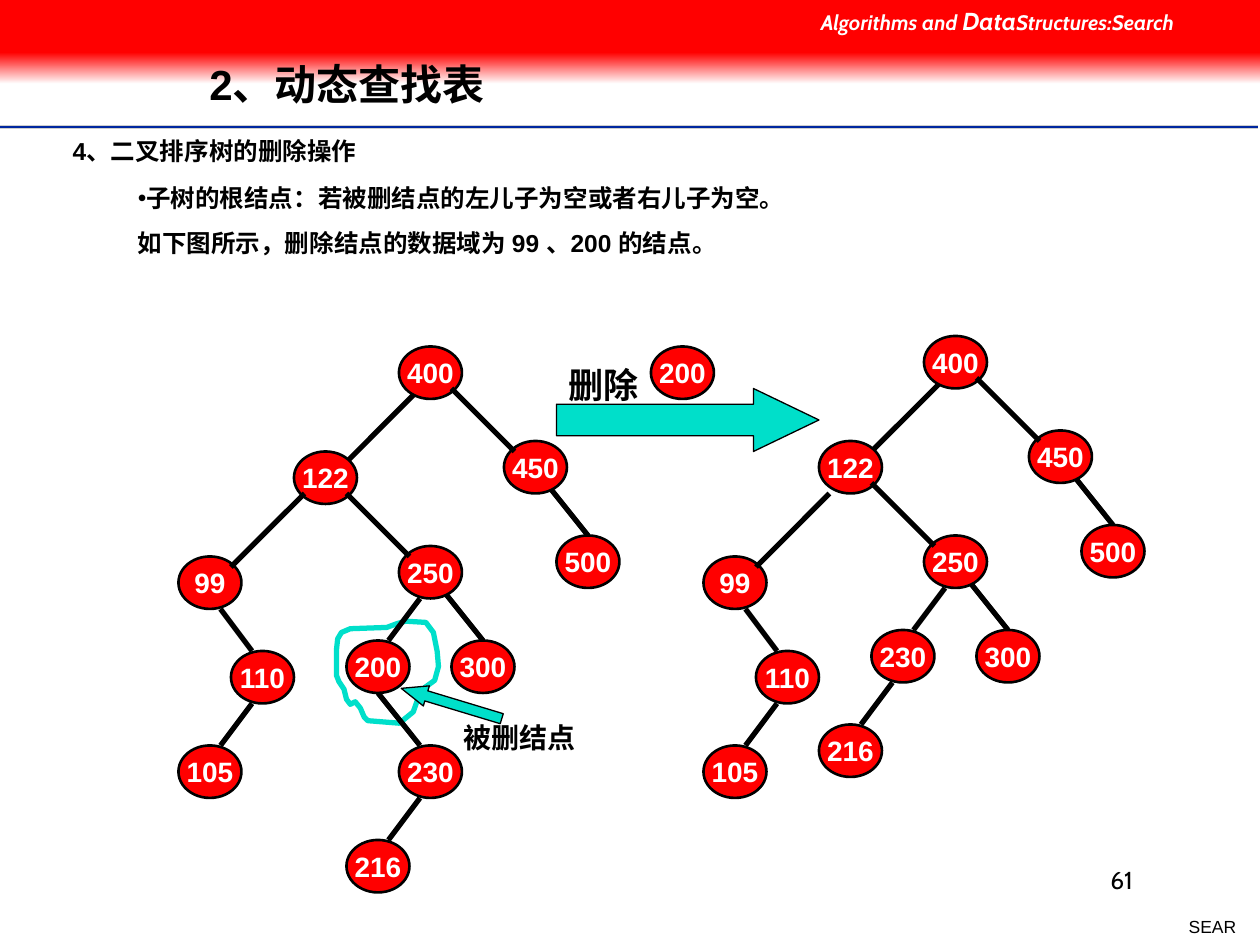
"""Build a slide on deleting nodes from a binary search tree."""
from lxml import etree
from pptx import Presentation
from pptx.dml.color import RGBColor
from pptx.enum.shapes import MSO_CONNECTOR, MSO_SHAPE
from pptx.enum.text import MSO_ANCHOR, MSO_AUTO_SIZE, PP_ALIGN
from pptx.oxml.ns import qn
from pptx.util import Pt

STRAIGHT = MSO_CONNECTOR.STRAIGHT
RECTANGLE, OVAL, ARROW = MSO_SHAPE.RECTANGLE, MSO_SHAPE.OVAL, MSO_SHAPE.RIGHT_ARROW
MIDDLE, TOP = MSO_ANCHOR.MIDDLE, MSO_ANCHOR.TOP
LEFT, CENTER, RIGHT = PP_ALIGN.LEFT, PP_ALIGN.CENTER, PP_ALIGN.RIGHT
NO_AUTOFIT = MSO_AUTO_SIZE.NONE

COLORS = {"red": "FF0000", "white": "FFFFFF", "black": "000000",
          "teal": "00DFCA", "blue": "00279F", "grey": "CECECE"}
NODE_WIDTH, NODE_HEIGHT = 36, 30

UPPER = {
    "back": [(252, 336, 276, 366), (312, 276, 336, 306), (240, 222, 198, 264)],
    "nodes": {"122": (168, 258), "250": (228, 312), "300": (258, 366),
              "400": (228, 198), "450": (288, 252), "500": (318, 306)},
    "front": [(198, 282, 234, 318), (240, 342, 222, 366), (258, 222, 294, 258)],
}
LOWER = {
    "back": [],
    "nodes": {"99": (102, 318), "110": (132, 372), "105": (102, 426)},
    "front": [(174, 282, 132, 324), (126, 348, 144, 372), (144, 402, 126, 426)],
}
TAIL = {
    "back": [],
    "nodes": {"230": (228, 426), "216": (198, 480)},
    "front": [(240, 456, 222, 480)],
}
DELETED = {"back": [], "nodes": {"200": (198, 366)}, "front": [(216, 396, 240, 426)]}
BRANCHES = [(UPPER, 0, 0), (LOWER, 0, 0), (DELETED, 0, 0), (TAIL, 0, 0),
            (UPPER, 300, -6), (TAIL, 270, -66), (LOWER, 300, 0)]

LOOP = [(278, 559), (275, 555), (273, 547), (269, 541), (267, 536), (267, 516),
        (268, 507), (271, 502), (278, 499), (307, 498), (315, 495), (322, 493),
        (338, 494), (344, 502), (347, 517), (348, 529), (345, 540), (334, 548),
        (328, 565), (317, 574), (292, 572), (289, 569), (286, 562), (282, 557)]


def color(name):
    """Return the named colour."""
    return RGBColor.from_string(COLORS[name])


def style_shape(shape, fill, line=None, width=1):
    """Give a shape a flat fill and an optional outline."""
    shape.shadow.inherit = False
    shape.fill.solid()
    shape.fill.fore_color.rgb = color(fill)
    if line:
        shape.line.color.rgb = color(line)
        shape.line.width = Pt(width)
    else:
        shape.line.fill.background()


def style_span(span, size, ink="black", bold=True, italic=False, face="Arial"):
    """Format one run of text."""
    font = span.font
    font.name, font.size, font.bold, font.italic = face, Pt(size), bold, italic
    font.color.rgb = color(ink)


def place(shape, left, top, width, height):
    """Move and size a shape."""
    shape.left, shape.top = Pt(left), Pt(top)
    shape.width, shape.height = Pt(width), Pt(height)


def add_label(page, bounds, spans, align=LEFT, wrap=True, indent=0, **style):
    """Add a one-paragraph text box from (text, size) pairs."""
    box = page.shapes.add_textbox(*map(Pt, bounds))
    box.text_frame.word_wrap = wrap
    para = box.text_frame.paragraphs[0]
    para.alignment = align
    para._p.get_or_add_pPr().set("marL", str(Pt(indent)))
    for text, size in spans:
        span = para.add_run()
        span.text = text
        style_span(span, size, **style)


def add_line(page, ends, ink="black", width=3):
    """Add a straight line."""
    line = page.shapes.add_connector(STRAIGHT, *map(Pt, ends))
    line.line.color.rgb = color(ink)
    line.line.width = Pt(width)
    etree.SubElement(line._element.spPr, qn("a:effectLst"))


def add_node(page, text, left, top):
    """Add one tree node."""
    node = page.shapes.add_shape(OVAL, Pt(left), Pt(top), Pt(NODE_WIDTH), Pt(NODE_HEIGHT))
    style_shape(node, "red", "black", 1.5)
    frame = node.text_frame
    frame.text = text
    frame.word_wrap = False
    frame.vertical_anchor = MIDDLE
    frame.paragraphs[0].alignment = CENTER
    style_span(frame.paragraphs[0].runs[0], 16, "white")


def add_branch(page, branch, right, down):
    """Add a group of nodes and edges, shifted as a whole."""
    def add_edges(edges):
        for x1, y1, x2, y2 in edges:
            add_line(page, (x1 + right, y1 + down, x2 + right, y2 + down))

    add_edges(branch["back"])
    for text, (left, top) in branch["nodes"].items():
        add_node(page, text, left + right, top + down)
    add_edges(branch["front"])


def add_arrow(page, bounds, head, rotation=0):
    """Add a teal block arrow."""
    arrow = page.shapes.add_shape(ARROW, *map(Pt, bounds))
    arrow.adjustments[1] = head
    arrow.rotation = rotation
    style_shape(arrow, "teal", "black", 0.75)


def add_header(page):
    """Add the red band, its fade, the course name and the rule."""
    for ink, y, width in [("grey", 72.7, 2), ("blue", 72.7, 1), ("white", 74.2, 1)]:
        add_line(page, (0, y, 718.6, y), ink, width)
    fade = page.shapes.add_shape(RECTANGLE, 0, Pt(30), Pt(720), Pt(18))
    style_shape(fade, "red")
    fade.fill.gradient()
    fade.fill.gradient_angle = 270
    for stop, ink, position in zip(fade.fill.gradient_stops, ("red", "white"), (0, 1)):
        stop.color.rgb = color(ink)
        stop.position = position
    band = page.shapes.add_shape(RECTANGLE, 0, 0, Pt(720), Pt(30))
    style_shape(band, "red")
    add_label(page, (462, 0, 258, 24.5),
              [("Algorithms and ", 12), ("Data", 14), ("Structures:Search", 12)],
              ink="white", italic=True, face="Cabin")


def fill_title(page):
    """Fill the title placeholder and bring it in front of the header."""
    title = page.shapes.title
    title._element.getparent().append(title._element)
    place(title, 112.5, 23, 543.5, 53.5)
    frame = title.text_frame
    frame.text = "2、动态查找表"
    frame.auto_size = NO_AUTOFIT
    frame.vertical_anchor = MIDDLE
    para = frame.paragraphs[0]
    para.alignment = LEFT
    para.line_spacing = 0.9
    style_span(para.runs[0], 24)


def fill_list(page):
    """Fill the body placeholder with the bulleted rule and its example."""
    body = page.placeholders[1]
    place(body, 0, 101, 468, 50)
    frame = body.text_frame
    frame.text = ("子树的根结点：若被删结点的左儿子为空或者右儿子为空。\n"
                  "如下图所示，删除结点的数据域为 99 、200 的结点。")
    frame.auto_size = NO_AUTOFIT
    frame.vertical_anchor = TOP
    for para, bullet, space in zip(frame.paragraphs, ("•", None), (0, 8.8)):
        para.space_before = Pt(space)
        properties = para._p.get_or_add_pPr()
        properties.set("marL", str(Pt(67)))
        properties.set("indent", str(Pt(4.5)))
        if bullet:
            etree.SubElement(properties, qn("a:buChar")).set("char", bullet)
        else:
            etree.SubElement(properties, qn("a:buNone"))
        style_span(para.runs[0], 14)


def add_loop(page):
    """Add the hand-drawn loop around the deleted node."""
    builder = page.shapes.build_freeform(*LOOP[0], scale=Pt(0.72))
    builder.add_line_segments(LOOP[1:], close=True)
    style_shape(builder.convert_to_shape(), "white", "teal", 3)


def main():
    """Build and save the slide."""
    deck = Presentation()
    deck.slide_width, deck.slide_height = Pt(720), Pt(540)
    page = deck.slides.add_slide(deck.slide_layouts[1])
    add_header(page)
    fill_title(page)
    fill_list(page)
    add_label(page, (-1.5, 74.2, 219, 24.5), [("4、二叉排序树的删除操作", 14)],
              wrap=False, indent=36)
    add_loop(page)
    for branch, right, down in BRANCHES:
        add_branch(page, branch, right, down)
    add_arrow(page, (228, 396, 60, 12), 1.25, 196.8)
    add_label(page, (258, 408, 96, 26.5), [("被删结点", 16)])
    add_arrow(page, (318, 222, 150, 36), 1.04)
    add_label(page, (318, 204, 102, 31.5), [("删除", 20)])
    add_node(page, "200", 372, 198)
    add_label(page, (516, 490.5, 138.5, 36), [("61", 14)], RIGHT, bold=False, face="Cabin")
    add_label(page, (671.5, 520, 42, 19.5), [("SEAR", 10)], RIGHT, wrap=False, bold=False)
    deck.save("out.pptx")


if __name__ == "__main__":
    main()
